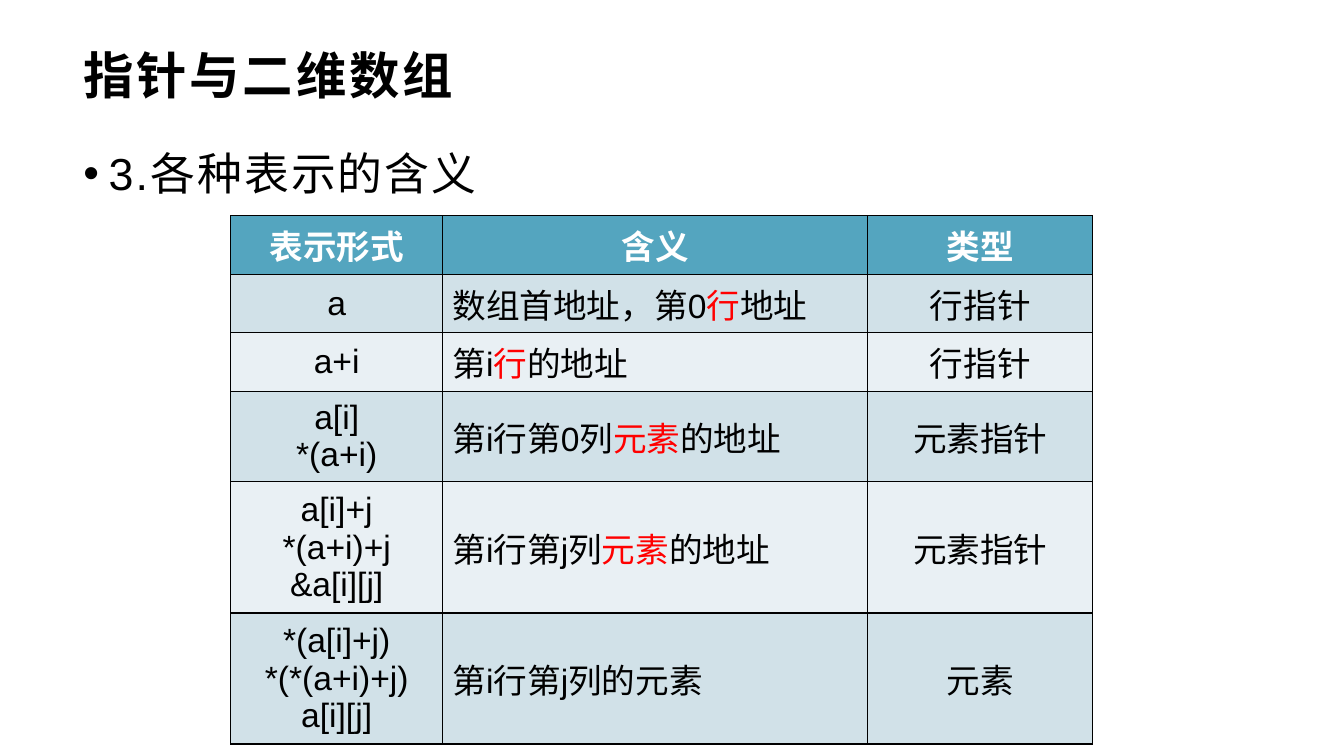
from dataclasses import dataclass

from lxml.etree import SubElement
from pptx import Presentation
from pptx.dml.color import RGBColor
from pptx.enum.text import MSO_ANCHOR as Anchor, PP_ALIGN as Align
from pptx.oxml.ns import qn
from pptx.util import Emu, Inches, Pt

TITLE = "指针与二维数组"
TOPIC = "3.各种表示的含义"
HEADER = (["表示形式"], ["含义"], ["类型"])
ROWS = [
    (["a"], ["数组首地址，第0", "行", "地址"], ["行指针"]),
    (["a+i"], ["第i", "行", "的地址"], ["行指针"]),
    (["a[i]", "*(a+i)"], ["第i行第0列", "元素", "的地址"], ["元素指针"]),
    (["a[i]+j", "*(a+i)+j", "&a[i][j]"], ["第i行第j列", "元素", "的地址"], ["元素指针"]),
    (["*(a[i]+j)", "*(*(a+i)+j)", "a[i][j]"], ["第i行第j列的元素"], ["元素"]),
]
COLUMN_WIDTHS = (2.1, 4.22, 2.23)
HEIGHT_BY_LINES = {1: 0.58, 2: 0.85, 3: 1.22}
MEANING_COLUMN = 1


@dataclass(frozen=True)
class Theme:
    font: str = "Arial"
    ink: str = "000000"
    accent: str = "FF0000"
    header_ink: str = "FFFFFF"
    header_fill: str = "54A5BF"
    bands: tuple = ("D1E1E8", "E9F0F4")
    title_size: int = 36
    topic_size: int = 32
    table_size: int = 24


THEME = Theme()


def style(span, size, color=THEME.ink, bold=False, spacing=0):
    span.font.name = THEME.font
    span.font.size = Pt(size)
    span.font.bold = bold
    span.font.color.rgb = RGBColor.from_string(color)
    if spacing:
        span._r.get_or_add_rPr().set("spc", str(int(spacing * 100)))


def add_text(page, text, top, height, anchor, **look):
    box = page.shapes.add_textbox(Inches(0.73), Inches(top), Inches(11.87), Inches(height))
    frame = box.text_frame
    frame.word_wrap = True
    frame.vertical_anchor = anchor
    frame.text = text
    para = frame.paragraphs[0]
    style(para.runs[0], **look)
    return para


def add_bullet(para):
    properties = para._p.get_or_add_pPr()
    properties.set("marL", str(Inches(0.25)))
    properties.set("indent", str(-Inches(0.25)))
    SubElement(properties, qn("a:buFont"), typeface=THEME.font)
    SubElement(properties, qn("a:buChar"), char="•")


def add_borders(cell):
    properties = cell._tc.get_or_add_tcPr()
    for position, side in enumerate(("lnL", "lnR", "lnT", "lnB")):
        line = properties.makeelement(qn(f"a:{side}"), {"w": str(Pt(1))})
        fill = SubElement(line, qn("a:solidFill"))
        SubElement(fill, qn("a:srgbClr"), val=THEME.ink)
        properties.insert(position, line)


def fill_cell(cell, parts, row, column):
    is_header = row == 0
    is_meaning = column == MEANING_COLUMN and not is_header
    frame = cell.text_frame
    if is_meaning:
        for part in parts:
            frame.paragraphs[0].add_run().text = part
    else:
        frame.text = "\n".join(parts)
    for para in frame.paragraphs:
        para.alignment = Align.LEFT if is_meaning else Align.CENTER
        for index, span in enumerate(para.runs):
            color = THEME.header_ink if is_header else (THEME.ink, THEME.accent)[index % 2]
            style(span, THEME.table_size, color, is_header)
    cell.vertical_anchor = Anchor.MIDDLE
    cell.fill.solid()
    band = THEME.header_fill if is_header else THEME.bands[(row - 1) % 2]
    cell.fill.fore_color.rgb = RGBColor.from_string(band)
    add_borders(cell)


def add_meanings(page):
    rows = [HEADER, *ROWS]
    heights = [HEIGHT_BY_LINES[len(forms)] for forms, *_ in rows]
    table = page.shapes.add_table(
        len(rows), len(COLUMN_WIDTHS), Inches(2.29), Inches(2.14),
        Inches(sum(COLUMN_WIDTHS)), Inches(sum(heights)),
    ).table
    for column, width in zip(table.columns, COLUMN_WIDTHS):
        column.width = Inches(width)
    for row, (height, cells) in enumerate(zip(heights, rows)):
        table.rows[row].height = Inches(height)
        for column, parts in enumerate(cells):
            fill_cell(table.cell(row, column), parts, row, column)


def main():
    deck = Presentation()
    deck.slide_width, deck.slide_height = Emu(12192000), Inches(7.5)
    page = deck.slides.add_slide(deck.slide_layouts[6])
    add_text(page, TITLE, 0.44, 0.6, Anchor.MIDDLE, size=THEME.title_size, bold=True, spacing=2)
    topic = add_text(page, TOPIC, 1.24, 5.69, Anchor.TOP, size=THEME.topic_size, spacing=1.5)
    topic.line_spacing = 1.3
    topic.space_after = Pt(10)
    add_bullet(topic)
    add_meanings(page)
    deck.save("out.pptx")


if __name__ == "__main__":
    main()
